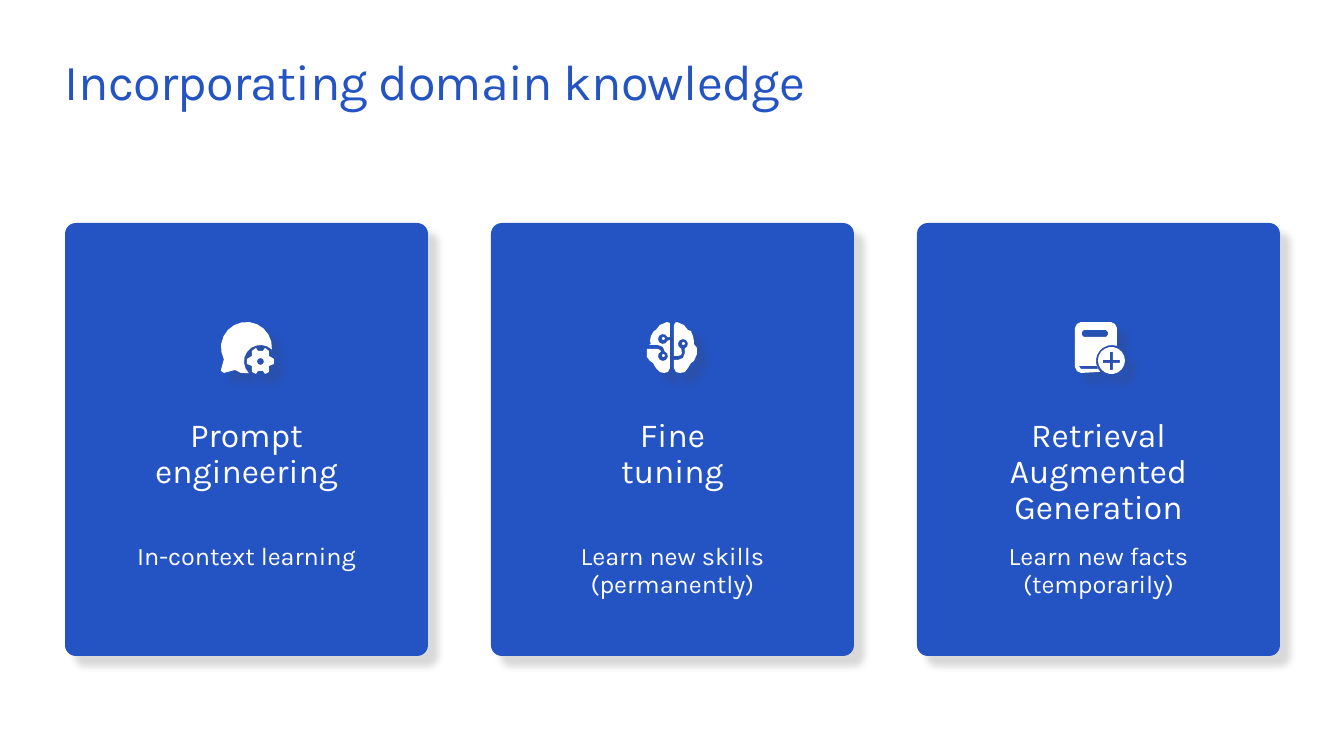
from math import cos, radians, sin

from lxml import etree
from pptx import Presentation
from pptx.dml.color import RGBColor
from pptx.enum.shapes import MSO_SHAPE
from pptx.enum.text import PP_ALIGN
from pptx.oxml.ns import qn
from pptx.util import Pt


def arc(x, y, size, start, end, steps):
    """Points on the circle in a box, in degrees clockwise from the right."""
    half = size / 2
    turns = [radians(start + (end - start) * i / steps)
             for i in range(steps + 1)]
    return [(x + half + half * cos(t), y + half + half * sin(t))
            for t in turns]


def ring(x, y, size, steps):
    return arc(x, y, size, 0, 360, steps)[:-1]


TITLE = "Incorporating domain knowledge"
CARDS = [
    (["Prompt\vengineering"], ["In-context learning"]),
    (["Fine\vtuning"], ["Learn new skills", "(permanently)"]),
    (["Retrieval\vAugmented", "Generation"],
     ["Learn new facts", "(temporarily)"]),
]

BUBBLE = (arc(0, 0, 51, 153, 365, 12) + arc(23, 23, 33, -47, -225, 9)
          + [(20, 51), (14, 48), (3, 51), (0, 49), (0, 48), (3, 37)])
GEAR = [(35, 26), (37, 29), (42, 29), (44, 26), (48, 29),
        (48, 34), (53, 37), (53, 42), (48, 44), (48, 50),
        (44, 52), (42, 49), (37, 49), (35, 52), (31, 50),
        (31, 44), (26, 42), (26, 37), (31, 34), (31, 29)]
CHAT = [BUBBLE, GEAR, ring(36, 36, 7, 8)]

LOBE_L = ([(20, 0), (23, 1), (23, 15)] + arc(11, 12, 10, -20, -340, 8)
          + [(23, 18), (23, 46), (21, 50), (17, 51), (13, 50), (9, 46),
             (6, 41), (3, 39), (0, 35), (0, 27), (11, 27), (13, 28)]
          + arc(11, 29, 10, -110, -430, 8)
          + [(16, 25), (11, 23), (2, 23), (4, 22), (3, 19), (4, 14),
             (7, 9), (9, 8), (13, 3)])
LOBE_R = ([(27, 38), (31, 38), (36, 36), (38, 31)]
          + arc(31, 17, 10, 70, -250, 8)
          + [(35, 31), (34, 33), (31, 34), (27, 34), (27, 4), (28, 1),
             (30, 0), (37, 3), (41, 8), (44, 9), (46, 14), (47, 19),
             (47, 22), (50, 26), (50, 32), (47, 39), (44, 41), (41, 46),
             (38, 50), (33, 51), (29, 50), (27, 46)])
BRAIN = [LOBE_L, LOBE_R, ring(15, 15, 3, 6), ring(15, 32, 3, 6),
         ring(35, 20, 3, 6)]

COVER = ([(6, 0), (36, 0), (40, 2), (42, 6)]
         + arc(21, 23, 32, -72, -223, 9)
         + [(6, 51), (2, 49), (0, 45), (0, 6), (2, 2)])
SPINE = [(4, 44), (22, 44), (23, 47), (6, 47)]
LABEL = [(9, 8), (31, 8), (33, 10), (33, 13),
         (31, 15), (9, 15), (7, 13), (7, 10)]
PLUS = [(35, 30), (38, 30), (38, 38), (45, 38), (45, 41), (38, 41),
        (38, 48), (35, 48), (35, 41), (28, 41), (28, 38), (35, 38)]
BOOK = [COVER, SPINE, LABEL, ring(23, 25, 27, 18), PLUS]

ICONS = [(221, CHAT), (647, BRAIN), (1075, BOOK)]

PX = 12192000 / 1344
FONT = "Karla"
BLUE = RGBColor(0x24, 0x54, 0xC3)
WHITE = RGBColor(0xFF, 0xFF, 0xFF)
SHADE = "454142"
ROUND = MSO_SHAPE.ROUNDED_RECTANGLE
CENTER = PP_ALIGN.CENTER
LEFT = PP_ALIGN.LEFT

CARD_X, CARD_Y, CARD_W, CARD_H = 65, 223, 363, 433
PITCH = 426
ICON_Y, HEAD_Y, NOTE_Y = 322, 418, 544
HEAD_LINE, NOTE_LINE = 37, 28


def emu(*sizes):
    return [round(size * PX) for size in sizes]


prs = Presentation()
prs.slide_width, prs.slide_height = emu(1344, 756)
slide = prs.slides.add_slide(prs.slide_layouts[6])
shapes = slide.shapes


def paint(shape, color):
    """Fill a shape and give it the soft shadow of the cards."""
    shape.fill.solid()
    shape.fill.fore_color.rgb = color
    shape.line.fill.background()
    shape.shadow.inherit = False
    effects = shape._element.spPr.find(qn("a:effectLst"))
    outer = etree.SubElement(
        effects, qn("a:outerShdw"), blurRad=str(Pt(5)),
        dist=str(Pt(10)), dir="2700000", algn="tl", rotWithShape="0")
    tint = etree.SubElement(outer, qn("a:srgbClr"), val=SHADE)
    etree.SubElement(tint, qn("a:alpha"), val="20000")


def draw_icon(left, parts):
    """Join all parts in one outline; inner parts become holes."""
    path = None
    for part in parts:
        first, *rest = [emu(left + x, ICON_Y + y) for x, y in part]
        if path is None:
            path = shapes.build_freeform(*first)
        else:
            path.move_to(*first)
        path.add_line_segments(rest, close=True)
    paint(path.convert_to_shape(), WHITE)


def write(lines, x, y, w, line, size, color,
          align=CENTER, space=0.9, track=0):
    count = sum(1 + text.count("\v") for text in lines)
    frame = shapes.add_textbox(*emu(x, y, w, line * count)).text_frame
    frame.word_wrap = True
    frame.margin_left = frame.margin_right = 0
    frame.margin_top = frame.margin_bottom = 0
    frame.text = "\n".join(lines)
    for par in frame.paragraphs:
        par.alignment = align
        par.line_spacing = space
        par.font.name = FONT
        par.font.size = Pt(size)
        par.font.color.rgb = color
        if track:
            for run in par.runs:
                run._r.get_or_add_rPr().set("spc", str(track))


write([TITLE], 65, 50, 1215, 61, 36, BLUE, LEFT, 1.0, -50)
for i, (head, note) in enumerate(CARDS):
    left = CARD_X + i * PITCH
    card = shapes.add_shape(ROUND, *emu(left, CARD_Y, CARD_W, CARD_H))
    card.adjustments[0] = 0.03
    paint(card, BLUE)
    write(head, left, HEAD_Y, CARD_W, HEAD_LINE, 24, WHITE)
    write(note, left, NOTE_Y, CARD_W, NOTE_LINE, 18, WHITE)
for left, parts in ICONS:
    draw_icon(left, parts)
prs.save("out.pptx")
